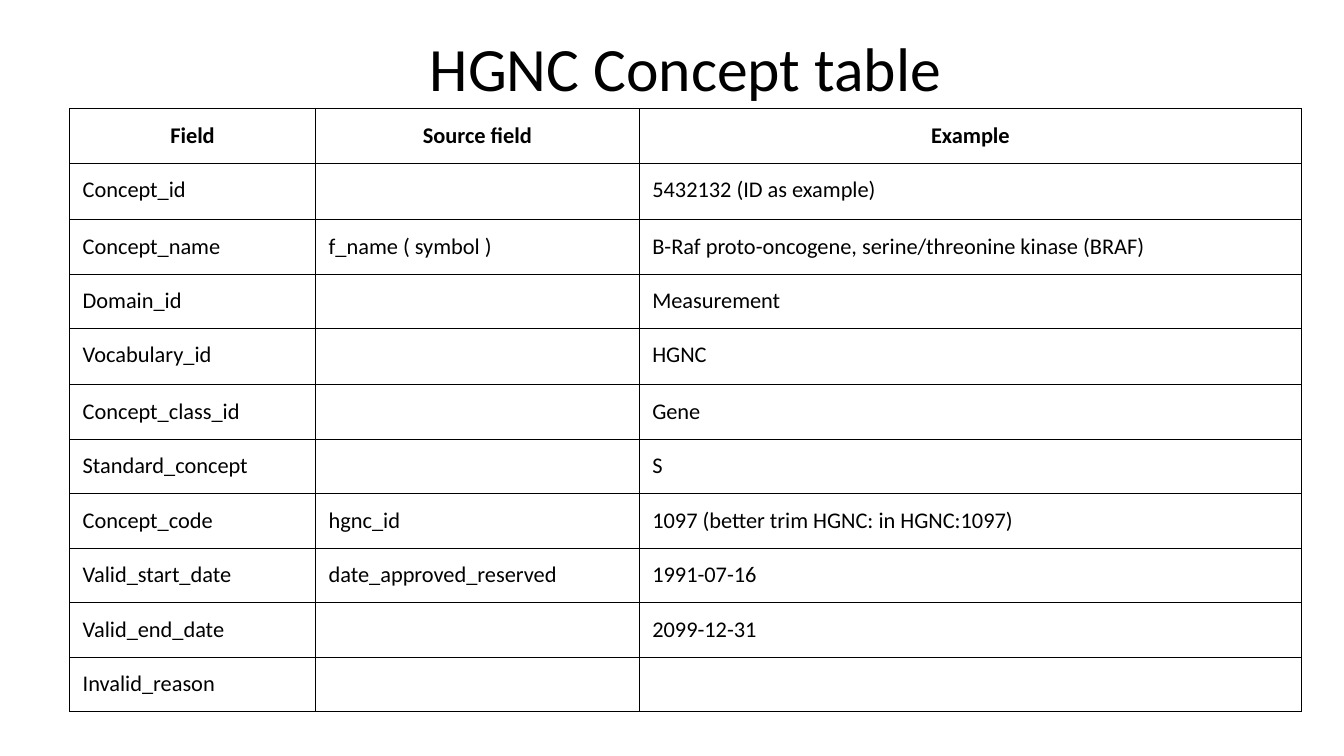
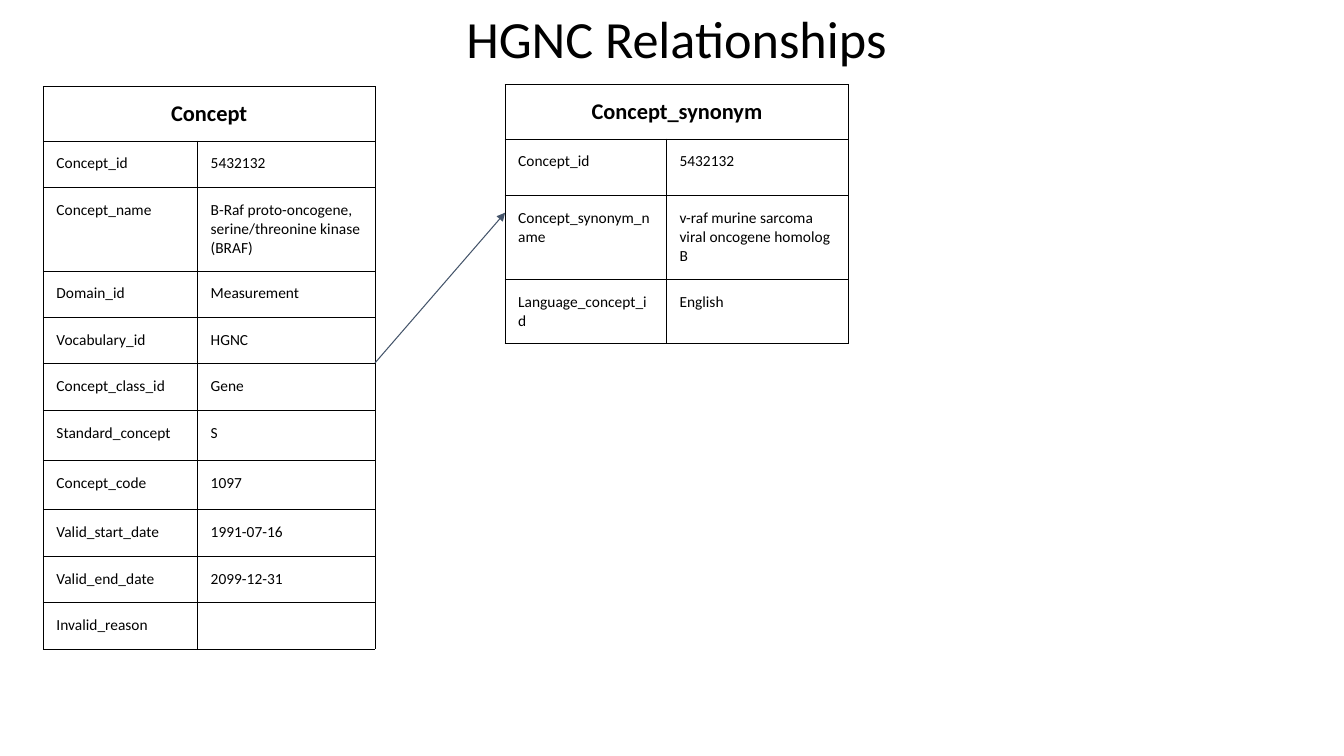
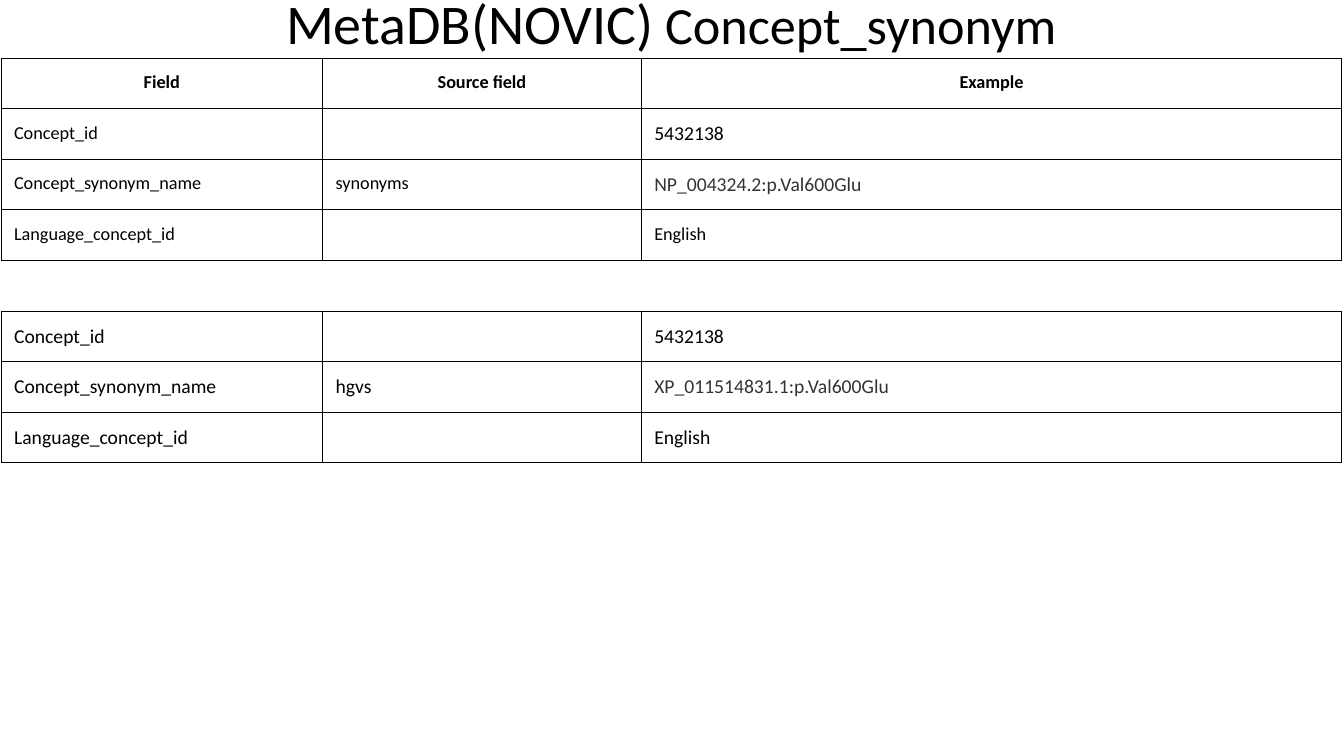
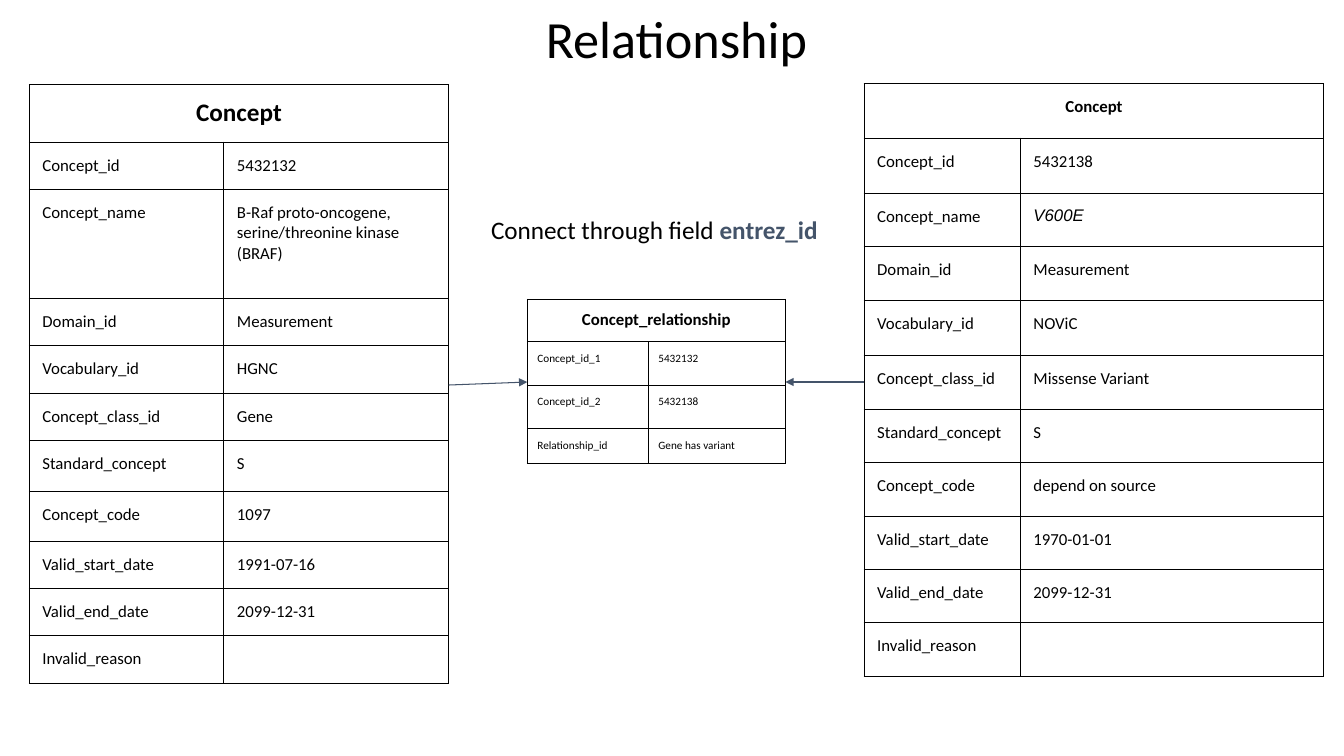
from dataclasses import dataclass

from lxml import etree
from pptx import Presentation
from pptx.dml.color import RGBColor as RGB
from pptx.enum.shapes import MSO_CONNECTOR as CONN
from pptx.enum.text import MSO_ANCHOR as ANCHOR, PP_ALIGN as ALIGN
from pptx.oxml.ns import qn
from pptx.util import Inches, Pt


@dataclass(frozen=True)
class Theme:
    font: str = "Calibri"
    alt_font: str = "Arial"
    ink: str = "000000"
    gray: str = "333333"
    accent: str = "44546A"
    title: float = 37.3
    title_large: float = 40
    title_xl: float = 44
    heading: float = 18
    body: float = 16
    medium: float = 14
    compact: float = 13
    small: float = 12
    fine: float = 11
    tiny: float = 8
    line: float = 0.75


T = Theme()

# Fields of a concept record, in table order
FIELDS = ["Concept_id", "Concept_name", "Domain_id", "Vocabulary_id",
          "Concept_class_id", "Standard_concept", "Concept_code",
          "Valid_start_date", "Valid_end_date", "Invalid_reason"]
SYNONYM_FIELDS = ["Concept_id", "Concept_synonym_name", "Language_concept_id"]
COLUMNS = ["Field", "Source field", "Example"]
GENE_NAME = "B-Raf proto-oncogene, serine/threonine kinase (BRAF)"
GENE = ["5432132", GENE_NAME, "Measurement", "HGNC", "Gene", "S", "1097",
        "1991-07-16", "2099-12-31", ""]
VARIANT = ["5432138", ("V600E", dict(font=T.alt_font, italic=True)),
           "Measurement", "NOViC", "Missense Variant", "S",
           "depend on source", "1970-01-01", "2099-12-31", ""]


def add_run(p, text, size=T.body, color=T.ink, font=T.font, bold=False,
            italic=False):
    """Append formatted text to a paragraph."""
    r = p.add_run()
    r.text = text
    f = r.font
    f.name, f.size, f.bold, f.italic = font, Pt(size), bold, italic
    f.color.rgb = RGB.from_string(color)


def set_margins(target, inset):
    target.margin_left = target.margin_right = Inches(inset)
    target.margin_top = target.margin_bottom = Inches(inset)


def set_borders(cell):
    """Give the cell a thin line on all four sides."""
    tc_pr = cell._tc.get_or_add_tcPr()
    for i, side in enumerate(("lnL", "lnR", "lnT", "lnB")):
        ln = etree.Element(qn("a:" + side), w=str(Pt(T.line)))
        fill = etree.SubElement(ln, qn("a:solidFill"))
        etree.SubElement(fill, qn("a:srgbClr"), val=T.ink)
        tc_pr.insert(i, ln)


class Deck:
    """Holds the presentation, its style and the current slide."""

    def __init__(self):
        self.prs = Presentation()
        self.prs.slide_width = Inches(13.33)
        self.prs.slide_height = Inches(7.5)
        self.slide = None

    def new_slide(self):
        self.slide = self.prs.slides.add_slide(self.prs.slide_layouts[6])

    def text(self, left, top, width, height, runs, inset=None, wrap=True,
             spacing=None):
        sp = self.slide.shapes.add_textbox(*map(Inches, (left, top, width, height)))
        tf = sp.text_frame
        tf.word_wrap = wrap
        tf.vertical_anchor = ANCHOR.TOP
        if inset is not None:
            set_margins(tf, inset)
        p = tf.paragraphs[0]
        p.alignment = ALIGN.CENTER
        p.line_spacing = spacing
        for text, fmt in runs:
            add_run(p, text, **fmt)

    def title(self, *runs, left=0.5, top=0, inset=0.13):
        self.text(left, top, 12.42, 0.84, runs, inset, spacing=0.9)

    def cell(self, cell, value, inset, centered, **fmt):
        text, extra = value if isinstance(value, tuple) else (value, {})
        set_margins(cell, inset)
        cell.fill.background()
        set_borders(cell)
        p = cell.text_frame.paragraphs[0]
        if centered:
            p.alignment = ALIGN.CENTER
        if text:
            add_run(p, text, **{**fmt, **extra})
        else:
            # An empty cell keeps the row's type size
            etree.SubElement(p._p, qn("a:endParaRPr"),
                             sz=str(int(fmt["size"] * 100)))

    def table(self, left, top, cols, heights, rows, size, head=None,
              head_size=None, inset=0.13):
        """Draw rows; head is a list of headings or one merged heading."""
        merged = isinstance(head, str)
        if merged:
            head = [head] + [""] * (len(cols) - 1)
        all_rows = ([head] if head else []) + [list(row) for row in rows]
        frame = self.slide.shapes.add_table(
            len(all_rows), len(cols), Inches(left), Inches(top),
            Inches(sum(cols)), Inches(sum(heights)))
        tbl = frame.table
        tbl.first_row = tbl.horz_banding = False
        for col, width in zip(tbl.columns, cols):
            col.width = Inches(width)
        for i, (row, height) in enumerate(zip(all_rows, heights)):
            tbl.rows[i].height = Inches(height)
            is_head = bool(head) and i == 0
            for j, value in enumerate(row):
                self.cell(tbl.cell(i, j), value, inset, is_head, bold=is_head,
                          size=(head_size or size) if is_head else size)
        if merged:
            tbl.cell(0, 0).merge(tbl.cell(0, len(cols) - 1))

    def arrow(self, start, end):
        cx = self.slide.shapes.add_connector(
            CONN.STRAIGHT, *map(Inches, (*start, *end)))
        cx.line.color.rgb = RGB.from_string(T.accent)
        cx.line.width = Pt(T.line)
        etree.SubElement(cx.line._get_or_add_ln(), qn("a:tailEnd"),
                         type="triangle")
        etree.SubElement(cx._element.spPr, qn("a:effectLst"))


def concept_slide(d):
    d.new_slide()
    sources = {"Concept_name": "f_name ( symbol )", "Concept_code": "hgnc_id",
               "Valid_start_date": "date_approved_reserved"}
    examples = {"Concept_id": "5432132 (ID as example)",
                "Concept_code": "1097 (better trim HGNC: in HGNC:1097)"}
    rows = [(f, sources.get(f, ""), examples.get(f, v))
            for f, v in zip(FIELDS, GENE)]
    heights = [0.54, 0.56, 0.54, 0.54, 0.56] + [0.54] * 6
    d.table(0.69, 1.08, [2.44, 3.21, 6.57], heights, rows, T.body, COLUMNS)
    d.title(("HGNC Concept table", dict(size=T.title_xl)), left=0.59, top=0.25)


def synonym_relation_slide(d):
    d.new_slide()
    # Gene concept
    heights = [0.54, 0.46, 0.83, 0.46, 0.46, 0.46, 0.5, 0.49] + [0.46] * 3
    d.table(0.43, 0.86, [1.53, 1.76], heights, zip(FIELDS, GENE), T.fine,
            "Concept", T.body)
    # Its synonym
    values = ["5432132", "v-raf murine sarcoma viral oncogene homolog B", "English"]
    d.table(5.01, 0.84, [1.6, 1.81], [0.54, 0.56, 0.83, 0.64],
            zip(SYNONYM_FIELDS, values), T.fine, "Concept_synonym", T.body)
    d.arrow((3.72, 3.6), (5.01, 2.11))
    d.title(("HGNC Relationships", dict(size=T.title)))


def synonym_slide(d):
    d.new_slide()
    # The columns stop just inside the slide so both outer borders show
    left, cols, height = 0.01, [3.19, 3.16, 6.95], 0.5
    medium = dict(size=T.medium)
    code = dict(size=T.medium, color=T.gray)

    def rows(source, name):
        return zip(SYNONYM_FIELDS, ["", source, ""],
                   [("5432138", medium), (name, code), "English"])

    d.table(left, 0.58, cols, [height] * 4,
            rows("synonyms", "NP_004324.2:p.Val600Glu"), T.compact, COLUMNS)
    d.table(left, 3.09, cols, [height] * 3,
            rows("hgvs", "XP_011514831.1:p.Val600Glu"), T.medium)
    d.title(("MetaDB(NOVIC)", dict(size=T.title_large)),
            (" Concept_synonym", dict(size=T.title)),
            left=0.45, top=-0.14, inset=0.1)


def relationship_slide(d):
    d.new_slide()
    d.title(("Relationship", dict(size=T.title)))
    # Gene and variant concepts
    heights = [0.57, 0.47, 1.08, 0.47, 0.47, 0.47, 0.51, 0.49] + [0.47] * 3
    d.table(0.29, 0.84, [1.93, 2.23], heights, zip(FIELDS, GENE), T.small,
            "Concept", T.heading)
    heights = [0.54, 0.55, 0.53, 0.53, 0.55] + [0.53] * 6
    d.table(8.57, 0.83, [1.55, 3.01], heights, zip(FIELDS, VARIANT), T.small,
            "Concept")
    # Link between them
    d.arrow((4.45, 3.82), (5.23, 3.79))
    d.arrow((8.57, 3.79), (7.79, 3.79))
    link = [("Concept_id_1", "5432132"), ("Concept_id_2", "5432138"),
            ("Relationship_id", "Gene has variant")]
    d.table(5.23, 2.97, [1.2, 1.36], [0.42, 0.43, 0.43, 0.35], link, T.tiny,
            "Concept_relationship", T.small, inset=0.1)
    d.text(4.73, 2.08, 3.52, 0.4,
           [("Connect through field ", dict(size=T.heading)),
            ("entrez_id", dict(size=T.heading, color=T.accent, bold=True))],
           wrap=False)


def main():
    d = Deck()
    concept_slide(d)
    synonym_relation_slide(d)
    synonym_slide(d)
    relationship_slide(d)
    d.prs.save("out.pptx")


if __name__ == "__main__":
    main()
